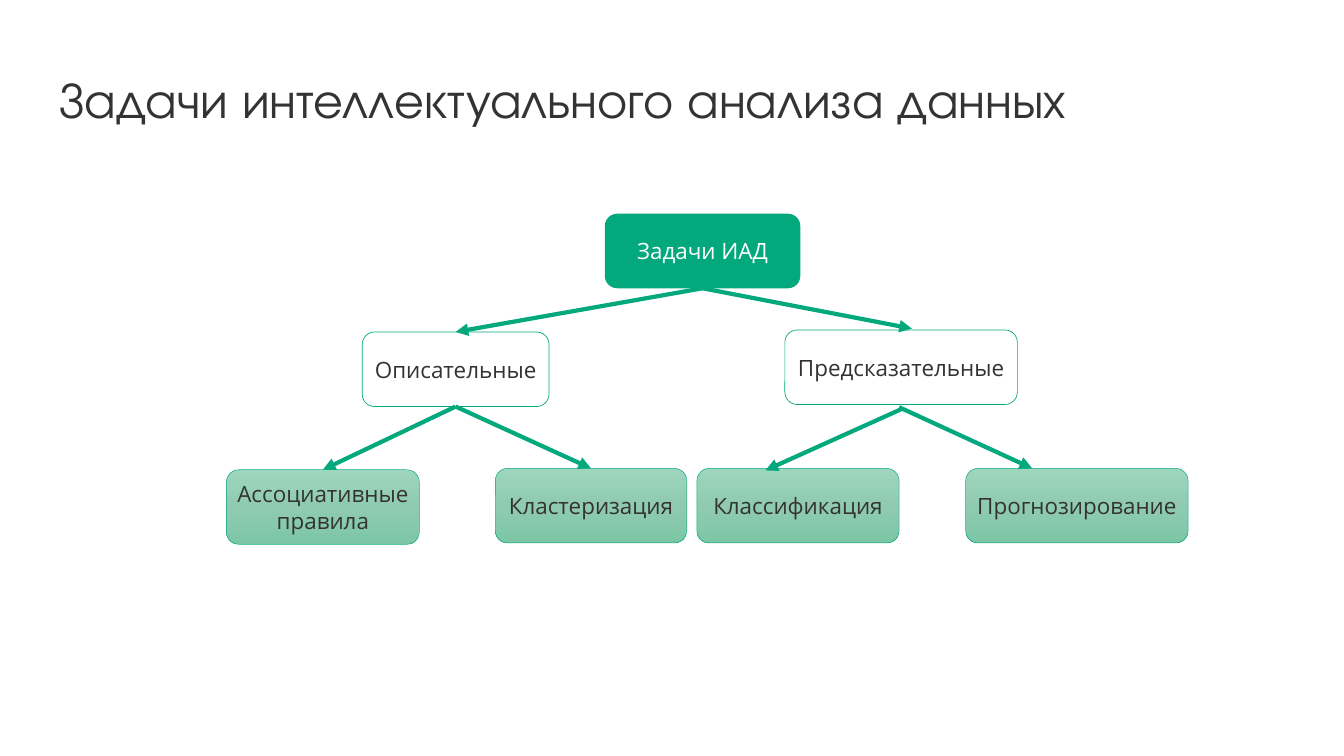
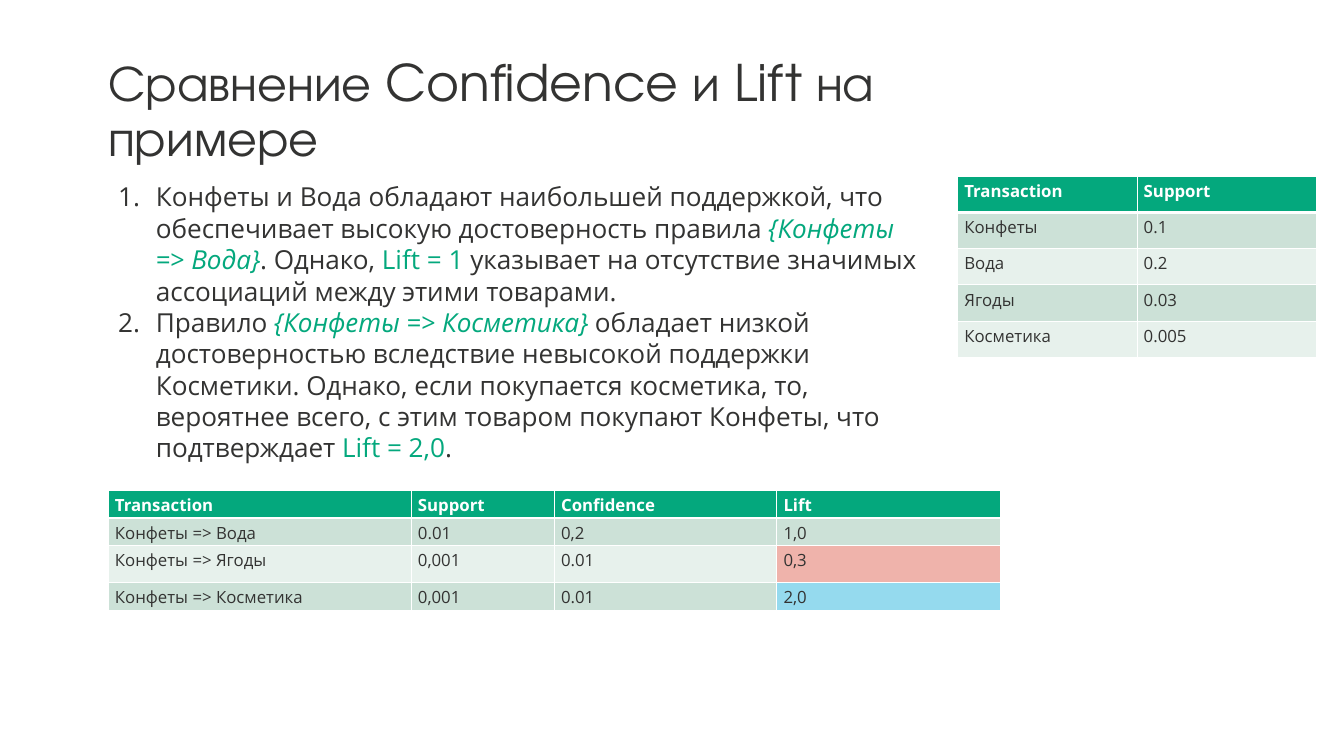
from copy import deepcopy
from dataclasses import dataclass, field
from typing import Optional

from lxml import etree
from pptx import Presentation
from pptx.dml.color import RGBColor
from pptx.enum import shapes, text
from pptx.oxml.ns import qn
from pptx.shapes.autoshape import Shape
from pptx.slide import Slide
from pptx.table import _Cell as Cell
from pptx.text.text import TextFrame, _Paragraph as Paragraph
from pptx.util import Emu, Inches, Pt

GREEN = RGBColor(0x04, 0xA8, 0x7D)
DARK = RGBColor(0x33, 0x33, 0x32)
WHITE = RGBColor(0xFF, 0xFF, 0xFF)
BAND_DARK = RGBColor(0xCC, 0xE1, 0xD7)
BAND_LIGHT = RGBColor(0xE7, 0xF1, 0xEC)
LOW_LIFT = RGBColor(0xEF, 0xB3, 0xAB)
HIGH_LIFT = RGBColor(0x95, 0xDA, 0xEE)
LEAF_GRADIENT = (
    (0.0, RGBColor(0x9D, 0xD6, 0xBC)),
    (0.5, RGBColor(0x90, 0xCB, 0xB1)),
    (1.0, RGBColor(0x7C, 0xC6, 0xA6)),
)
TITLE_FONT = "TeX Gyre Adventor"
BODY_FONT = "Open Sans"
NODE_HEIGHT = 1.11
LIST_INDENT = Inches(0.56)

Point = tuple[float, float]


@dataclass(frozen=True)
class Node:
    label: str
    left: float
    top: float
    width: float
    level: int


@dataclass(frozen=True)
class Arrow:
    """An arrow between two nodes; a given point replaces the joined end."""
    parent: str
    child: str
    start: Optional[Point] = None
    end: Optional[Point] = None


@dataclass(frozen=True)
class Span:
    text: str
    color: RGBColor = DARK
    italic: bool = False


@dataclass(frozen=True)
class Grid:
    left: float
    top: float
    widths: tuple[float, ...]
    heights: tuple[float, ...]
    rows: tuple[tuple[str, ...], ...]
    highlights: dict[tuple[int, int], RGBColor] = field(default_factory=dict)


NODES = (
    Node("Задачи ИАД", 9, 3.18, 2.91, 0),
    Node("Описательные", 5.39, 4.94, 2.78, 1),
    Node("Предсказательные", 11.68, 4.91, 3.46, 1),
    Node("Ассоциативные правила", 3.37, 6.99, 2.87, 2),
    Node("Кластеризация", 7.37, 6.97, 2.85, 2),
    Node("Классификация", 10.37, 6.97, 3.01, 2),
    Node("Прогнозирование", 14.37, 6.97, 3.31, 2),
)

ARROWS = (
    Arrow("Задачи ИАД", "Описательные"),
    Arrow("Задачи ИАД", "Предсказательные", end=(13.57, 4.89)),
    Arrow("Описательные", "Ассоциативные правила"),
    Arrow("Описательные", "Кластеризация"),
    Arrow("Предсказательные", "Прогнозирование", (13.38, 6.06), (15.36, 6.97)),
    Arrow("Предсказательные", "Классификация", (13.41, 6.09), (11.39, 7)),
)

CONCLUSIONS = (
    (
        Span("Конфеты и Вода обладают наибольшей поддержкой, что обеспечивает "
             "высокую достоверность правила "),
        Span("{Конфеты => Вода}", GREEN, True),
        Span(". Однако, "),
        Span("Lift = 1 ", GREEN),
        Span("указывает на отсутствие значимых ассоциаций между этими товарами."),
    ),
    (
        Span("Правило "),
        Span("{Конфеты => Косметика} ", GREEN, True),
        Span("обладает низкой достоверностью вследствие невысокой поддержки "
             "Косметики. Однако, если покупается косметика, то, вероятнее всего, "
             "с этим товаром покупают Конфеты, что подтверждает "),
        Span("Lift = 2,0", GREEN),
        Span("."),
    ),
)

RULES = Grid(
    1.61, 7.3, (4.51, 2.13, 3.31, 3.33), (0.41, 0.41, 0.55, 0.41),
    (
        ("Transaction", "Support", "Confidence", "Lift"),
        ("Конфеты => Вода", "0.01", "0,2", "1,0"),
        ("Конфеты => Ягоды", "0,001", "0.01", "0,3"),
        ("Конфеты => Косметика", "0,001", "0.01", "2,0"),
    ),
    {(2, 3): LOW_LIFT, (3, 3): HIGH_LIFT},
)

PRODUCTS = Grid(
    14.25, 2.62, (2.67,) * 2, (0.54,) * 5,
    (
        ("Transaction", "Support"),
        ("Конфеты", "0.1"),
        ("Вода", "0.2"),
        ("Ягоды", "0.03"),
        ("Косметика", "0.005"),
    ),
)


def write(paragraph: Paragraph, words: str, *, size: float, color: RGBColor = DARK,
          font: str = BODY_FONT, bold: bool = False, italic: bool = False) -> None:
    run = paragraph.add_run()
    run.text = words
    run.font.name = font
    run.font.size = Pt(size)
    run.font.bold = bold
    run.font.italic = italic
    run.font.color.rgb = color


def add_text_box(slide: Slide, left: float, top: float, width: float, height: float,
                 inset_x: float = 0, inset_y: float = 0) -> TextFrame:
    box = slide.shapes.add_textbox(Inches(left), Inches(top), Inches(width), Inches(height))
    frame = box.text_frame
    frame.word_wrap = True
    frame.margin_left = frame.margin_right = Inches(inset_x)
    frame.margin_top = frame.margin_bottom = Inches(inset_y)
    return frame


def add_title(slide: Slide, words: str, left: float, top: float, width: float) -> None:
    paragraph = add_text_box(slide, left, top, width, 0.93).paragraphs[0]
    paragraph.line_spacing = 0.9
    write(paragraph, words, size=54, font=TITLE_FONT)


def fill_with_gradient(shape: Shape) -> None:
    shape.fill.gradient()
    shape.fill.gradient_angle = 270
    stop_list = shape.element.spPr.find(f".//{qn('a:gsLst')}")
    stop_list.insert(1, deepcopy(stop_list[0]))
    for stop, (position, color) in zip(shape.fill.gradient_stops, LEAF_GRADIENT):
        stop.position = position
        stop.color.rgb = color


def add_node(slide: Slide, node: Node) -> Shape:
    shape = slide.shapes.add_shape(
        shapes.MSO_SHAPE.ROUNDED_RECTANGLE, Inches(node.left), Inches(node.top),
        Inches(node.width), Inches(NODE_HEIGHT))
    shape.shadow.inherit = False
    if node.level == 0:
        shape.fill.solid()
        shape.fill.fore_color.rgb = GREEN
        shape.line.fill.background()
    else:
        shape.line.color.rgb = GREEN
        if node.level == 1:
            shape.fill.background()
            shape.line.width = Pt(0.75)
        else:
            fill_with_gradient(shape)
            shape.line.width = Pt(0.5)
    frame = shape.text_frame
    frame.word_wrap = True
    frame.vertical_anchor = text.MSO_ANCHOR.MIDDLE
    paragraph = frame.paragraphs[0]
    paragraph.alignment = text.PP_ALIGN.CENTER
    write(paragraph, node.label, size=24, color=DARK if node.level else WHITE)
    return shape


def add_arrow(slide: Slide, arrow: Arrow, boxes: dict[str, Shape]) -> None:
    start_x, start_y = map(Inches, arrow.start or (0, 0))
    end_x, end_y = map(Inches, arrow.end or (0, 0))
    connector = slide.shapes.add_connector(
        shapes.MSO_CONNECTOR.STRAIGHT, start_x, start_y, end_x, end_y)
    if arrow.start is None:
        connector.begin_connect(boxes[arrow.parent], 2)
    if arrow.end is None:
        connector.end_connect(boxes[arrow.child], 0)
    connector.line.color.rgb = GREEN
    connector.line.width = Pt(4.5)
    properties = connector.element.spPr
    etree.SubElement(properties.find(qn("a:ln")), qn("a:tailEnd"), type="triangle")
    etree.SubElement(properties, qn("a:effectLst"))


def add_numbered_list(frame: TextFrame, items: tuple[tuple[Span, ...], ...]) -> None:
    for index, spans in enumerate(items):
        paragraph = frame.add_paragraph() if index else frame.paragraphs[0]
        properties = paragraph._p.get_or_add_pPr()
        properties.set("marL", str(LIST_INDENT))
        properties.set("indent", str(-LIST_INDENT))
        etree.SubElement(properties, qn("a:buAutoNum"), type="arabicPeriod")
        for span in spans:
            write(paragraph, span.text, size=28, color=span.color, italic=span.italic)


def set_borders(cell: Cell, top: float, bottom: float) -> None:
    properties = cell._tc.get_or_add_tcPr()
    for side, width in (("L", 1), ("R", 1), ("T", top), ("B", bottom)):
        line = etree.SubElement(properties, qn(f"a:ln{side}"), w=str(Pt(width)))
        fill = etree.SubElement(line, qn("a:solidFill"))
        etree.SubElement(fill, qn("a:srgbClr"), val=str(WHITE))


def add_grid(slide: Slide, grid: Grid) -> None:
    table = slide.shapes.add_table(
        len(grid.rows), len(grid.widths), Inches(grid.left), Inches(grid.top),
        Inches(sum(grid.widths)), Inches(sum(grid.heights))).table
    for column, width in zip(table.columns, grid.widths):
        column.width = Inches(width)
    for row, height in zip(table.rows, grid.heights):
        row.height = Inches(height)
    for row_index, values in enumerate(grid.rows):
        is_header = row_index == 0
        band = GREEN if is_header else BAND_DARK if row_index % 2 else BAND_LIGHT
        for column_index, value in enumerate(values):
            cell = table.cell(row_index, column_index)
            set_borders(cell, top=3 if row_index == 1 else 1, bottom=3 if is_header else 1)
            cell.fill.solid()
            cell.fill.fore_color.rgb = grid.highlights.get((row_index, column_index), band)
            write(cell.text_frame.paragraphs[0], value, size=18,
                  color=WHITE if is_header else DARK, bold=is_header)


def build_task_tree(slide: Slide) -> None:
    add_title(slide, "Задачи интеллектуального анализа данных", 0.89, 1.11, 15.73)
    boxes = {node.label: add_node(slide, node) for node in NODES}
    for arrow in ARROWS:
        add_arrow(slide, arrow, boxes)


def build_comparison(slide: Slide) -> None:
    add_title(slide, "Сравнение Confidence и Lift на примере", 1.61, 0.87, 12.95)
    frame = add_text_box(slide, 1.61, 2.62, 12.36, 3.45, inset_x=0.15, inset_y=0.07)
    frame.auto_size = text.MSO_AUTO_SIZE.SHAPE_TO_FIT_TEXT
    add_numbered_list(frame, CONCLUSIONS)
    add_grid(slide, RULES)
    add_grid(slide, PRODUCTS)


def main() -> None:
    presentation = Presentation()
    presentation.slide_width = Inches(20)
    presentation.slide_height = Inches(11.25)
    blank = presentation.slide_layouts[6]
    for build in (build_task_tree, build_comparison):
        build(presentation.slides.add_slide(blank))
    presentation.save("out.pptx")


if __name__ == "__main__":
    main()
